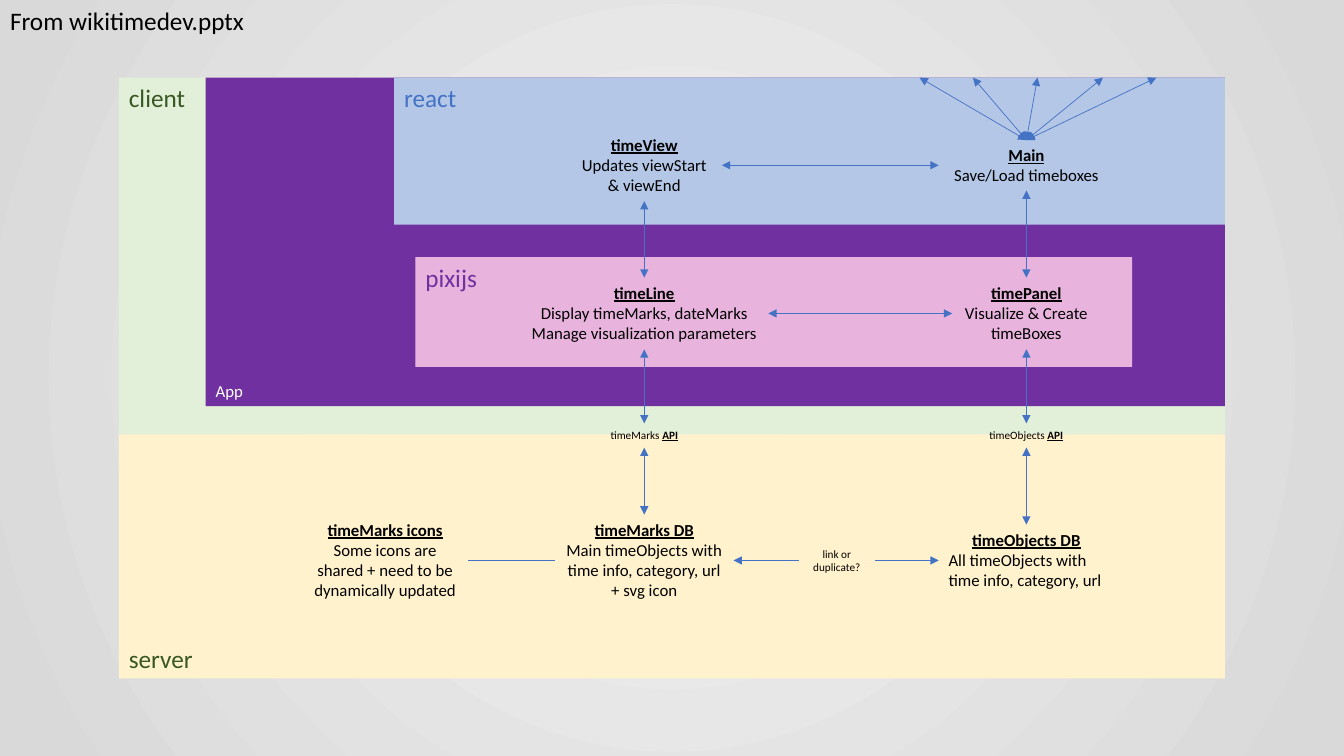
from dataclasses import dataclass

from lxml import etree
from pptx import Presentation
from pptx.dml.color import RGBColor
from pptx.enum.shapes import MSO_CONNECTOR, MSO_SHAPE
from pptx.enum.text import MSO_ANCHOR, MSO_AUTO_SIZE, PP_ALIGN
from pptx.oxml.ns import qn
from pptx.util import Inches, Pt

RECTANGLE = MSO_SHAPE.RECTANGLE
STRAIGHT = MSO_CONNECTOR.STRAIGHT
ANCHOR_TOP, ANCHOR_BOTTOM = MSO_ANCHOR.TOP, MSO_ANCHOR.BOTTOM
NO_AUTOFIT = MSO_AUTO_SIZE.NONE
ALIGN_LEFT, ALIGN_CENTER = PP_ALIGN.LEFT, PP_ALIGN.CENTER
TOP, LEFT, BOTTOM, RIGHT = range(4)


@dataclass(frozen=True)
class Theme:
    font: str = "Calibri"
    heading: int = 18
    body: int = 12
    small: int = 8
    line: float = 0.5
    black: str = "000000"
    white: str = "FFFFFF"
    blue: str = "4472C4"
    green: str = "385723"
    purple: str = "7030A0"
    client: str = "E2F0D9"
    react: str = "B4C7E7"
    pixijs: str = "E8B4DD"
    server: str = "FFF2CC"
    glow: str = "F2F2F2"
    edge: str = "D9D9D9"


theme = Theme()


def write(frame, lines, size, color, align, wrap=True, anchor=ANCHOR_TOP):
    frame.text = "\n".join(lines)
    frame.word_wrap = wrap
    frame.auto_size = NO_AUTOFIT
    frame.vertical_anchor = anchor
    for paragraph in frame.paragraphs:
        paragraph.alignment = align
        for run in paragraph.runs:
            run.font.name = theme.font
            run.font.size = Pt(size)
            run.font.color.rgb = RGBColor.from_string(color)


def link(start, start_side, end, end_side, head=True, tail=True):
    connector = slide.shapes.add_connector(STRAIGHT, 0, 0, 0, 0)
    if start_side is None:
        connector.begin_x, connector.begin_y = map(Inches, start)
    else:
        connector.begin_connect(start, start_side)
    if end_side is None:
        connector.end_x, connector.end_y = map(Inches, end)
    else:
        connector.end_connect(end, end_side)
    connector.line.width = Pt(theme.line)
    connector.line.color.rgb = RGBColor.from_string(theme.blue)
    properties = connector._element.spPr
    outline = properties.find(qn("a:ln"))
    for tag, shown in (("a:headEnd", head), ("a:tailEnd", tail)):
        if shown:
            etree.SubElement(outline, qn(tag), type="triangle")
    etree.SubElement(properties, qn("a:effectLst"))


deck = Presentation()
deck.slide_width, deck.slide_height = Inches(13.33), Inches(7.5)
slide = deck.slides.add_slide(deck.slide_layouts[5])

background = slide.background.fill
background.gradient()
for stop, position, color in zip(background.gradient_stops, (0, 0.97), (theme.glow, theme.edge)):
    stop.position = position
    stop.color.rgb = RGBColor.from_string(color)
gradient = next(slide._element.iter(qn("a:gradFill")))
gradient.remove(gradient.find(qn("a:lin")))
circle = etree.SubElement(gradient, qn("a:path"), path="circle")
etree.SubElement(circle, qn("a:fillToRect"), l="50000", t="50000", r="50000", b="50000")

title = slide.shapes.title
title.left, title.top, title.width, title.height = map(Inches, (0, 0, 2.55, 0.4))
write(title.text_frame, ["From wikitimedev.pptx"], theme.heading, theme.black, ALIGN_LEFT, wrap=False)

regions = [
    ("client", (1.18, 0.77, 10.97, 3.54), theme.client, theme.green, ANCHOR_TOP),
    ("", (2.04, 0.77, 10.11, 3.26), theme.purple, theme.white, ANCHOR_TOP),
    ("react", (3.91, 0.77, 8.24, 1.46), theme.react, theme.blue, ANCHOR_TOP),
    ("pixijs", (4.12, 2.55, 7.11, 1.09), theme.pixijs, theme.purple, ANCHOR_TOP),
    ("server", (1.18, 4.31, 10.97, 2.42), theme.server, theme.green, ANCHOR_BOTTOM),
]
for label, bounds, fill, color, anchor in regions:
    region = slide.shapes.add_shape(RECTANGLE, *map(Inches, bounds))
    region.shadow.inherit = False
    region.fill.solid()
    region.fill.fore_color.rgb = RGBColor.from_string(fill)
    region.line.fill.background()
    write(region.text_frame, [label], theme.heading, color, ALIGN_LEFT, anchor=anchor)

app_label = slide.shapes.add_textbox(*map(Inches, (2.04, 3.73, 0.48, 0.3)))
write(app_label.text_frame, ["App"], theme.body, theme.white, ALIGN_LEFT, wrap=False)

icons_x, marks_x, note_x, objects_x = 3.82, 6.39, 8.3, 10.18
react_y, pixijs_y, api_y, database_y = 1.64, 3.11, 4.32, 5.56

components = [
    ("timeView", marks_x, react_y, 1.54, 0.71, True, ["Updates viewStart & viewEnd"]),
    ("Main", objects_x, react_y, 1.65, 0.5, False, ["Save/Load timeboxes"]),
    ("timeLine", marks_x, pixijs_y, 2.46, 0.71, True,
     ["Display timeMarks, dateMarks", "Manage visualization parameters"]),
    ("timePanel", objects_x, pixijs_y, 1.47, 0.71, True, ["Visualize & Create", "timeBoxes"]),
    ("timeMarks icons", icons_x, database_y, 1.64, 0.91, True,
     ["Some icons are shared + need to be dynamically updated"]),
    ("timeMarks DB", marks_x, database_y, 1.77, 0.91, False,
     ["Main timeObjects with", "time info, category, url", "+ svg icon"]),
    ("timeObjects DB", objects_x, database_y, 1.74, 0.71, False,
     ["All timeObjects with", "time info, category, url"]),
]
nodes = {}
for name, x, y, width, height, wrap, details in components:
    node = slide.shapes.add_textbox(*map(Inches, (x - width / 2, y - height / 2, width, height)))
    write(node.text_frame, [name, *details], theme.body, theme.black, ALIGN_CENTER, wrap)
    name_font = node.text_frame.paragraphs[0].runs[0].font
    name_font.bold = name_font.underline = True
    nodes[name] = node
for detail in nodes["timeObjects DB"].text_frame.paragraphs[1:]:
    detail.alignment = ALIGN_LEFT

for name, x, width in (("timeMarks", marks_x, 0.88), ("timeObjects", objects_x, 0.94)):
    api = slide.shapes.add_textbox(*map(Inches, (x - width / 2, api_y - 0.12, width, 0.24)))
    write(api.text_frame, [name + " "], theme.small, theme.black, ALIGN_CENTER, wrap=False)
    suffix = api.text_frame.paragraphs[0].add_run()
    suffix.text = "API"
    suffix.font.name = theme.font
    suffix.font.size = Pt(theme.small)
    suffix.font.color.rgb = RGBColor.from_string(theme.black)
    suffix.font.bold = suffix.font.underline = True
    nodes[name + " API"] = api

note = slide.shapes.add_textbox(*map(Inches, (note_x - 0.38, database_y - 0.18, 0.76, 0.36)))
write(note.text_frame, ["link or duplicate?"], theme.small, theme.black, ALIGN_CENTER)

chains = [
    ("timeView", "timeLine", "timeMarks API", "timeMarks DB"),
    ("Main", "timePanel", "timeObjects API", "timeObjects DB"),
]
for chain in chains:
    for upper, lower in zip(chain, chain[1:]):
        link(nodes[upper], BOTTOM, nodes[lower], TOP)

link(nodes["timeView"], RIGHT, (9.31, react_y), None)
link(nodes["timeLine"], RIGHT, nodes["timePanel"], LEFT)
link(nodes["timeMarks icons"], RIGHT, nodes["timeMarks DB"], LEFT, head=False, tail=False)
link(nodes["timeMarks DB"], RIGHT, note, LEFT, tail=False)
link(note, RIGHT, nodes["timeObjects DB"], LEFT, head=False)
for port_x in (9.12, 9.65, 10.29, 10.94, 11.47):
    link((port_x, 0.77), None, nodes["Main"], TOP)

deck.save("out.pptx")
